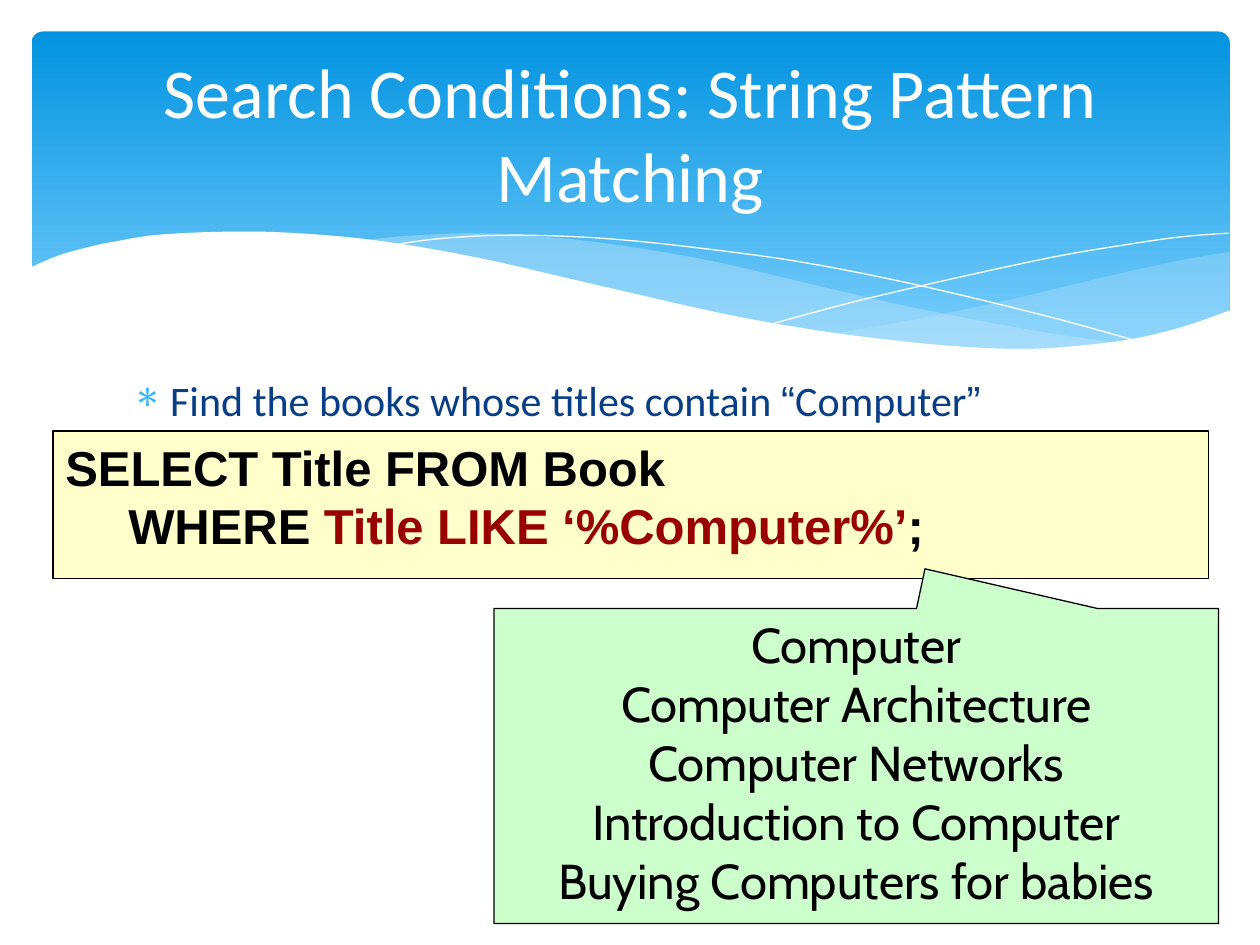
from dataclasses import dataclass

from lxml.etree import SubElement
from pptx import Presentation
from pptx.dml.color import RGBColor
from pptx.enum.shapes import MSO_SHAPE
from pptx.enum.text import MSO_ANCHOR, PP_ALIGN
from pptx.oxml.ns import qn
from pptx.util import Emu, Pt

PX = 9144  # EMU in one px: 100 px to the inch
INK, WHITE, PALE = "000000", "FFFFFF", "C6E7FC"

Point = tuple[int, int]
Run = tuple[str, dict]


@dataclass
class Wave:
    """A smooth curve through knots, closed by straight corners if filled."""
    knots: list[Point]
    corners: tuple[Point, ...] = ()
    fill: str | None = None
    opacity: int = 100
    back: tuple[Point, ...] = ()  # a second curve, back to the start


@dataclass
class Panel:
    """A bordered box with text."""
    kind: MSO_SHAPE
    box: tuple[int, int, int, int]
    fill: str
    lines: list[list[Run]]
    font: str
    bold: bool = False
    align: PP_ALIGN = PP_ALIGN.LEFT
    adjustments: tuple[float, ...] = ()


WAVES = [
    # Right swell
    Wave([(975, 200), (935, 207), (876, 220), (805, 237), (729, 253), (661, 265)],
         fill=PALE, opacity=29, corners=((976, 247), (976, 200)),
         back=((661, 265), (705, 271), (757, 276), (803, 278), (854, 276),
               (897, 270), (935, 262), (975, 247))),
    # Middle swell
    Wave([(893, 273), (837, 265), (775, 254), (706, 240), (629, 222), (569, 208),
          (514, 198), (464, 191), (420, 187), (380, 185), (344, 186), (313, 188),
          (286, 191)],
         fill=PALE, opacity=40,
         back=((286, 191), (342, 199), (404, 211), (449, 222), (530, 240),
               (601, 255), (665, 266), (722, 274), (773, 278), (818, 279),
               (857, 277), (893, 273))),
    # Thin crossing lines
    Wave([(309, 195), (343, 190), (387, 187), (433, 187), (489, 190), (556, 197),
          (636, 208), (727, 226), (831, 251), (907, 272)]),
    Wave([(613, 257), (672, 241), (748, 223), (836, 204), (895, 194), (937, 188),
          (975, 185)]),
    # White foreground wave
    Wave([(977, 246), (940, 259), (899, 269), (850, 275), (809, 277), (761, 275),
          (708, 270), (647, 262), (579, 250), (503, 233), (447, 220), (391, 207),
          (339, 197), (292, 190), (250, 186), (211, 184), (176, 184), (146, 185),
          (119, 187), (95, 191), (75, 195), (52, 201), (36, 207), (23, 213)],
         fill=WHITE, corners=((23, 329), (977, 329))),
]

PANELS = [
    Panel(MSO_SHAPE.RECTANGLE, (42, 342, 917, 117), "FFFFCC",
          [[("SELECT Title FROM Book", {})],
           [("\tWHERE ", {}), ("Title LIKE ‘%Computer%’", {"color": "990000"}),
            (";", {})]],
          font="Arial", bold=True),
    Panel(MSO_SHAPE.RECTANGULAR_CALLOUT, (392, 483, 575, 250), "CCFFCC",
          [[(book, {})] for book in (
              "Computer", "Computer Architecture", "Computer Networks",
              "Introduction to Computer", "Buying Computers for babies")],
          font="Cabin", align=PP_ALIGN.CENTER, adjustments=(0.095, -0.626)),
]


def rgb(value: str) -> RGBColor:
    return RGBColor.from_string(value)


def lengths(*px: int) -> list[Emu]:
    return [Emu(n * PX) for n in px]


def place(shape, box: tuple[int, int, int, int]) -> None:
    shape.left, shape.top, shape.width, shape.height = lengths(*box)


def add_run(paragraph, text: str, *, font: str, size: int, color: str = INK,
            bold: bool = False) -> None:
    run = paragraph.add_run()
    run.text = text
    run.font.name, run.font.size, run.font.bold = font, Pt(size), bold
    run.font.color.rgb = rgb(color)


def set_bullet(paragraph, mark: str, color: str, indent: int) -> None:
    props = paragraph._p.get_or_add_pPr()
    props.set("marL", str(indent * PX))
    props.set("indent", str(-indent * PX))
    bullet_color = SubElement(props, qn("a:buClr"))
    SubElement(bullet_color, qn("a:srgbClr"), val=color)
    SubElement(props, qn("a:buFont"), typeface="Symbol")
    SubElement(props, qn("a:buChar"), char=mark)


def smooth(knots: list[Point], steps: int = 5) -> list[tuple[float, float]]:
    """Catmull-Rom curve through the knots."""
    ends = [knots[0], *knots, knots[-1]]
    curve = [knots[0]]
    for a, b, c, d in zip(ends, ends[1:], ends[2:], ends[3:]):
        for t in (step / steps for step in range(1, steps + 1)):
            curve.append(tuple(
                0.5 * (2 * q + (r - p) * t + (2 * p - 5 * q + 4 * r - s) * t**2
                       + (3 * q - p - 3 * r + s) * t**3)
                for p, q, r, s in zip(a, b, c, d)))
    return curve


def draw_wave(shapes, wave: Wave) -> None:
    outline = smooth(wave.knots)
    if wave.back:
        outline += smooth(list(wave.back))
    outline += wave.corners
    start, *rest = [(round(x * PX), round(y * PX)) for x, y in outline]
    builder = shapes.build_freeform(*start)
    builder.add_line_segments(rest, close=wave.fill is not None)
    shape = builder.convert_to_shape()
    shape.shadow.inherit = False
    if wave.fill is None:
        shape.fill.background()
        shape.line.color.rgb = rgb(WHITE)
        shape.line.width = Pt(0)
        return
    shape.line.fill.background()
    shape.fill.solid()
    shape.fill.fore_color.rgb = rgb(wave.fill)
    if wave.opacity < 100:
        color = shape.element.spPr.find(f"{qn('a:solidFill')}/{qn('a:srgbClr')}")
        SubElement(color, qn("a:alpha"), val=str(wave.opacity * 1000))


def draw_banner(shapes) -> None:
    banner = shapes.add_shape(MSO_SHAPE.ROUNDED_RECTANGLE, *lengths(25, 25, 951, 270))
    banner.adjustments[0] = 0.034
    banner.shadow.inherit = False
    banner.line.fill.background()
    banner.fill.gradient()
    banner.fill.gradient_angle = 270
    for stop, position, color in zip(banner.fill.gradient_stops, (0, 1),
                                     ("0293E0", "83D3FE")):
        stop.position, stop.color.rgb = position, rgb(color)


def draw_panel(shapes, panel: Panel) -> None:
    shape = shapes.add_shape(panel.kind, *lengths(*panel.box))
    for index, value in enumerate(panel.adjustments):
        shape.adjustments[index] = value
    shape.shadow.inherit = False
    shape.fill.solid()
    shape.fill.fore_color.rgb = rgb(panel.fill)
    shape.line.color.rgb = rgb(INK)
    shape.line.width = Pt(0.75)
    frame = shape.text_frame
    frame.word_wrap, frame.vertical_anchor = True, MSO_ANCHOR.TOP
    for index, line in enumerate(panel.lines):
        paragraph = frame.add_paragraph() if index else frame.paragraphs[0]
        paragraph.alignment = panel.align
        for text, look in line:
            add_run(paragraph, text, font=panel.font, size=28, bold=panel.bold, **look)


def main() -> None:
    deck = Presentation()
    deck.slide_width, deck.slide_height = lengths(1000, 750)
    slide = deck.slides.add_slide(deck.slide_layouts[1])
    shapes = slide.shapes
    title, task = slide.placeholders

    # Banner with waves, behind the text
    draw_banner(shapes)
    for wave in WAVES:
        draw_wave(shapes, wave)
    for placeholder in (task, title):
        placeholder.element.getparent().append(placeholder.element)

    # Task line
    place(task, (95, 292, 810, 377))
    sentence = task.text_frame.paragraphs[0]
    set_bullet(sentence, "∗", "31B6FD", 30)
    sentence.space_before = Pt(0)
    for text, font in (("Find the books whose titles contain ", "Calibri"),
                       ("“", "Arial"), ("Computer", "Calibri"), ("”", "Arial")):
        add_run(sentence, text, font=font, size=24, color="073E87")

    # Title
    place(title, (50, 37, 900, 137))
    title.text_frame.vertical_anchor = MSO_ANCHOR.MIDDLE
    heading = title.text_frame.paragraphs[0]
    heading.alignment = PP_ALIGN.CENTER
    add_run(heading, "Search Conditions: String Pattern Matching",
            font="Calibri", size=40, color=WHITE)

    # Query and its matches
    for panel in PANELS:
        draw_panel(shapes, panel)

    deck.save("out.pptx")


if __name__ == "__main__":
    main()
